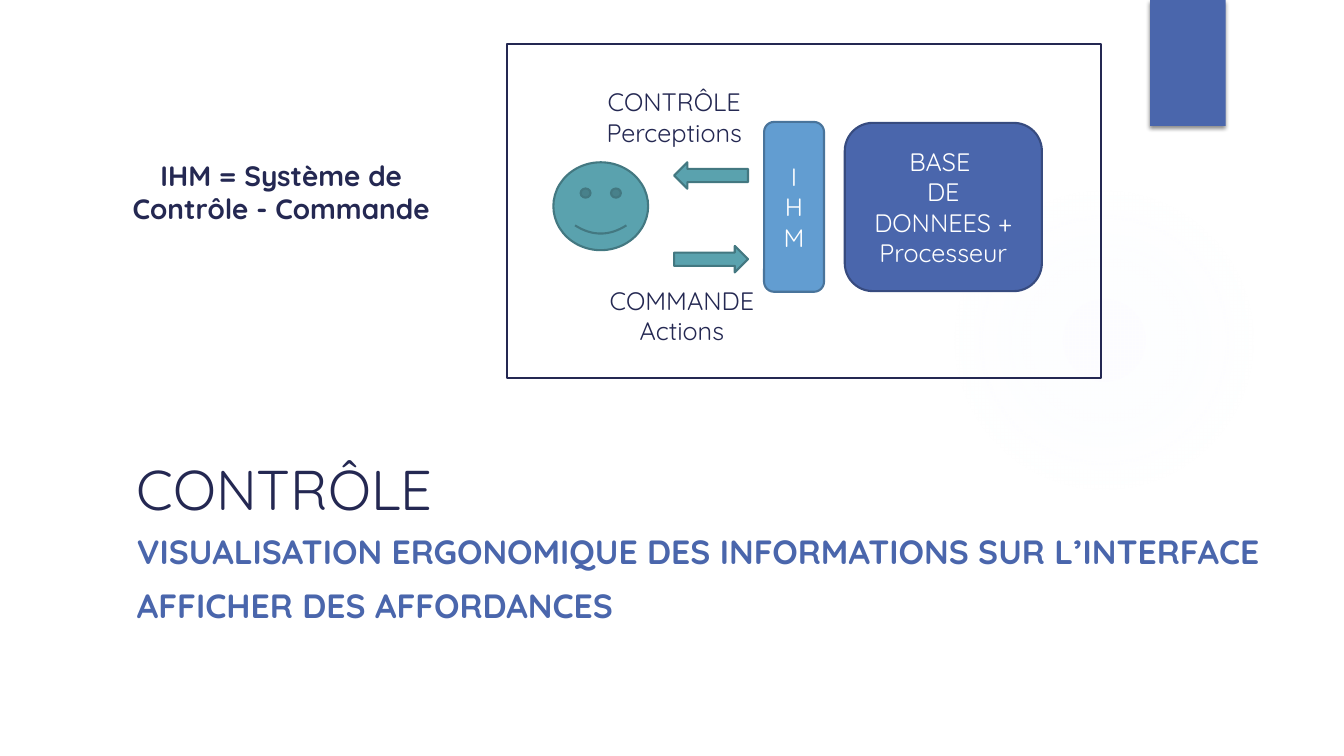
from lxml import etree
from pptx import Presentation
from pptx import util as u
from pptx.dml.color import RGBColor
from pptx.enum import shapes, text
from pptx.oxml import ns

NAVY = RGBColor(0x24, 0x28, 0x52)
BLUE = RGBColor(0x4A, 0x66, 0xAC)
BLUE_EDGE = RGBColor(0x37, 0x4B, 0x7F)
SKY = RGBColor(0x62, 0x9D, 0xD1)
SKY_EDGE = RGBColor(0x49, 0x74, 0x9B)
TEAL = RGBColor(0x5A, 0xA2, 0xAE)
TEAL_EDGE = RGBColor(0x43, 0x78, 0x81)
HALO = RGBColor(0xDE, 0xEA, 0xFD)
WHITE = RGBColor(0xFF, 0xFF, 0xFF)
BLACK = RGBColor(0, 0, 0)

KINDS = shapes.MSO_SHAPE
ANCHORS = text.MSO_ANCHOR
ALIGN = text.PP_ALIGN


def add_node(parent, tag, **attributes):
    node = etree.SubElement(parent, ns.qn(tag))
    for name, value in attributes.items():
        node.set(name, str(value))
    return node


def add_color(parent, color, percent):
    """Add a colour with the given opacity in percent."""
    node = add_node(parent, "a:srgbClr", val=color)
    add_node(node, "a:alpha", val=percent * 1000)


class SlideBuilder:
    font = "Quicksand"
    line_width = u.Pt(1.5)

    def __init__(self, slide):
        self.shapes = slide.shapes

    def shape(self, kind, box, fill=None, edge=None, rotation=0):
        item = self.shapes.add_shape(kind, *map(u.Pt, box))
        item.shadow.inherit = False
        item.rotation = rotation
        if fill is None:
            item.fill.background()
        else:
            item.fill.solid()
            item.fill.fore_color.rgb = fill
        if edge is None:
            item.line.fill.background()
        else:
            item.line.color.rgb = edge
            item.line.width = self.line_width
        return item

    def set_lines(self, item, lines, size, color, bold=False, align=ALIGN.CENTER,
                  anchor=ANCHORS.MIDDLE, wrap=True, gap=0):
        """Fill a shape with one paragraph per line, gap points apart."""
        frame = item.text_frame
        frame.word_wrap = wrap
        frame.vertical_anchor = anchor
        for index, line in enumerate(lines):
            paragraph = frame.add_paragraph() if index else frame.paragraphs[0]
            paragraph.alignment = align
            if index:
                paragraph.space_before = u.Pt(gap)
            run = paragraph.add_run()
            run.text = line
            run.font.name = self.font
            run.font.size = u.Pt(size)
            run.font.bold = bold
            run.font.color.rgb = color

    def label(self, box, lines, size, color, **style):
        style.setdefault("anchor", ANCHORS.TOP)
        self.set_lines(self.shapes.add_textbox(*map(u.Pt, box)), lines, size, color, **style)

    def halo(self, box, color, stops):
        """Draw a circle that fades out; stops are (position, opacity) in percent."""
        item = self.shape(KINDS.OVAL, box, color)
        solid = item._element.spPr.find(ns.qn("a:solidFill"))
        gradient = etree.Element(ns.qn("a:gradFill"))
        stop_list = add_node(gradient, "a:gsLst")
        for position, opacity in stops:
            add_color(add_node(stop_list, "a:gs", pos=position * 1000), color, opacity)
        centre = add_node(gradient, "a:path", path="circle")
        add_node(centre, "a:fillToRect", l=50000, t=50000, r=50000, b=50000)
        solid.getparent().replace(solid, gradient)

    def ribbon(self, box, color):
        item = self.shape(KINDS.RECTANGLE, box, color)
        effects = item._element.spPr.find(ns.qn("a:effectLst"))
        shadow = add_node(effects, "a:outerShdw", blurRad=int(u.Pt(3)), dist=int(u.Pt(2)),
                          dir=90 * 60000, rotWithShape=0)
        add_color(shadow, BLACK, 45)


def build_slide(page):
    page.halo((677.5, 131.8, 221.8, 221.8), HALO, [(0, 7), (36, 6), (69, 0)])
    page.ribbon((821.5, 0, 54, 90), BLUE)

    page.label((90.7, 225.4, 694.8, 150.5), ["CONTRÔLE"], 40, NAVY,
               align=ALIGN.LEFT, anchor=ANCHORS.BOTTOM)
    page.label((90.7, 375.8, 818, 105.8),
               ["VISUALISATION ERGONOMIQUE DES INFORMATIONS SUR L’INTERFACE",
                "AFFICHER DES AFFORDANCES"],
               24, BLUE, bold=True, align=ALIGN.LEFT, gap=10)

    interface = page.shape(KINDS.ROUNDED_RECTANGLE, (545.8, 87.1, 42.8, 121.3), SKY, SKY_EDGE)
    page.set_lines(interface, ["I", "HM"], 18, WHITE)
    database = page.shape(KINDS.ROUNDED_RECTANGLE, (603.4, 87.8, 140.8, 120.2), BLUE, BLUE_EDGE)
    page.set_lines(database, ["BASE ", "DE", "DONNEES +", "Processeur"], 18, WHITE)

    page.shape(KINDS.SMILEY_FACE, (395.3, 115.9, 67.7, 62.8), TEAL, TEAL_EDGE)
    for top, rotation in ((115.9, 180), (175.7, 0)):
        page.shape(KINDS.RIGHT_ARROW, (481.5, top, 52.8, 18.9), TEAL, TEAL_EDGE, rotation)
    page.label((422.6, 58.3, 118.1, 51), ["CONTRÔLE", "Perceptions"], 18, NAVY, wrap=False)
    page.label((422.6, 200.2, 128.9, 51), ["COMMANDE", "Actions"], 18, NAVY, wrap=False)
    page.shape(KINDS.RECTANGLE, (362.2, 31.5, 424.1, 238.5), edge=NAVY)

    page.label((81.4, 109.4, 239, 55.4), ["IHM = Système de Contrôle - Commande"],
               20, NAVY, bold=True)


def main():
    deck = Presentation()
    deck.slide_width, deck.slide_height = u.Pt(960), u.Pt(540)
    build_slide(SlideBuilder(deck.slides.add_slide(deck.slide_layouts[6])))
    deck.save("out.pptx")


if __name__ == "__main__":
    main()
